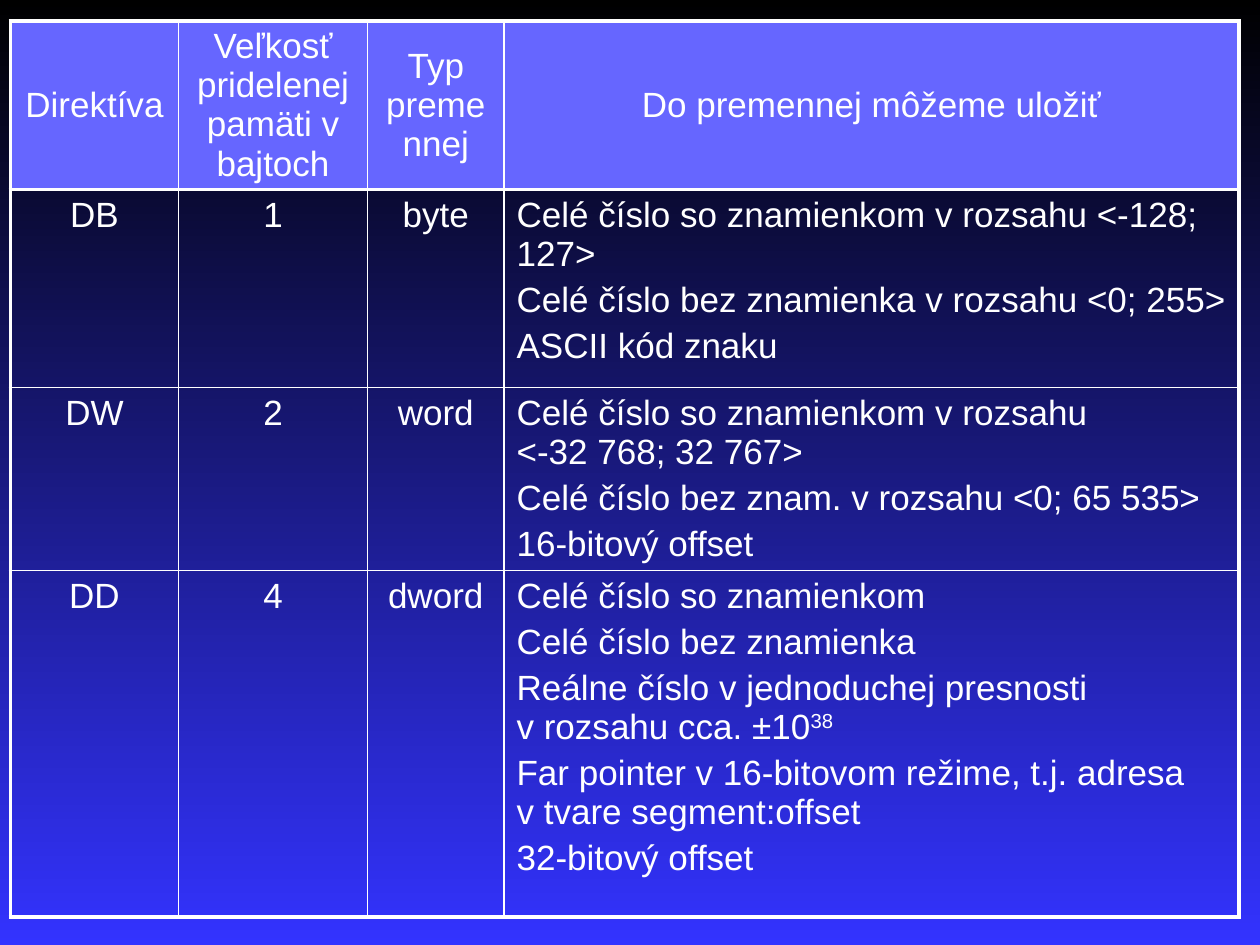
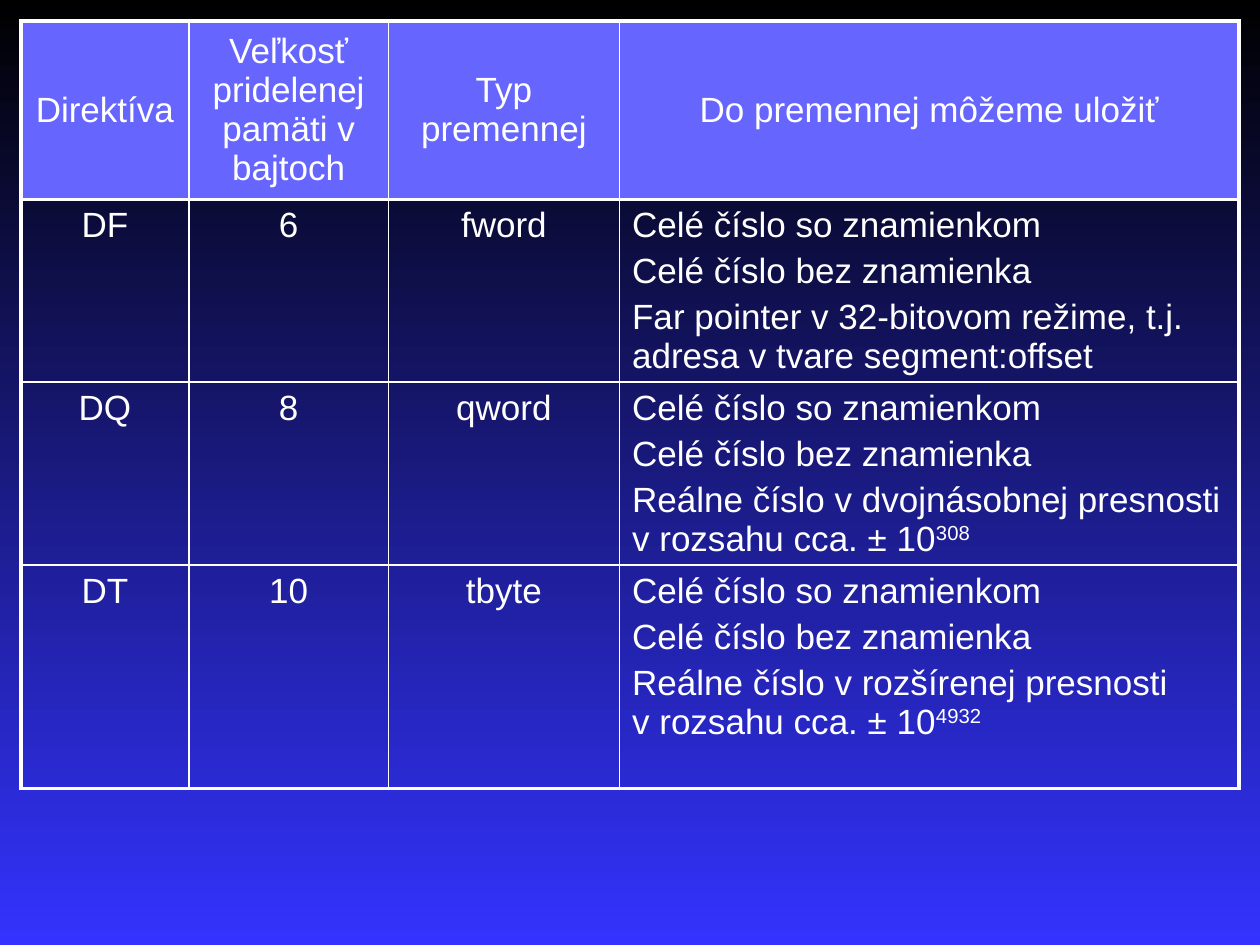
from lxml.etree import SubElement
from pptx import Presentation
from pptx.dml.color import RGBColor
from pptx.enum.text import MSO_ANCHOR, PP_ALIGN
from pptx.oxml import parse_xml
from pptx.oxml.ns import nsdecls, qn
from pptx.util import Cm, Pt

COLORS = {"top": "000000", "bottom": "3333FF", "header": "6666FF", "ink": "FFFFFF"}
FONT, SIZE = "Arial", 20
THICK, THIN = 2.25, 1
TOP = 0.42

# Content: a tuple holds lines kept together, "^" starts a superscript
HEADER = ("Direktíva", "Veľkosť pridelenej pamäti v bajtoch", "Typ premennej",
          ["Do premennej môžeme uložiť"])
SIGNED, UNSIGNED = "Celé číslo so znamienkom", "Celé číslo bez znamienka"

TABLES = [
    {"left": 0.21, "height": 18.57,
     "columns": (3.39, 3.81, 2.75, 14.82), "heights": (3.39, 3.99, 3.18, 6.99),
     "rows": [
         ("DB", "1", "byte", [SIGNED + " v rozsahu <-128; 127>",
                              UNSIGNED + " v rozsahu <0; 255>",
                              "ASCII kód znaku"]),
         ("DW", "2", "word", [(SIGNED + " v rozsahu ", "<-32 768; 32 767>"),
                              "Celé číslo bez znam. v rozsahu <0; 65 535>",
                              "16-bitový offset"]),
         ("DD", "4", "dword", [SIGNED, UNSIGNED,
                               ("Reálne číslo v jednoduchej presnosti ",
                                "v rozsahu cca. ±10^38"),
                               ("Far pointer v 16-bitovom režime, t.j. adresa ",
                                "v tvare segment:offset"),
                               "32-bitový offset"]),
     ]},
    {"left": 0.42, "height": 16.1,
     "columns": (3.39, 4.02, 4.66, 12.49), "heights": (3.6, 3.12, 3.18, 4.5),
     "rows": [
         ("DF", "6", "fword", [SIGNED, UNSIGNED,
                               "Far pointer v 32-bitovom režime, t.j. adresa "
                               "v tvare segment:offset"]),
         ("DQ", "8", "qword", [SIGNED, UNSIGNED,
                               "Reálne číslo v dvojnásobnej presnosti "
                               "v rozsahu cca. ± 10^308"]),
         ("DT", "10", "tbyte", [SIGNED, UNSIGNED,
                                ("Reálne číslo v rozšírenej presnosti ",
                                 "v rozsahu cca. ± 10^4932")]),
     ]},
]


def color(name):
    return RGBColor.from_string(COLORS[name])


def write_line(para, text, align=PP_ALIGN.LEFT, space_before=0):
    """Fill one paragraph; space_before is a percentage of the line."""
    para.alignment = align
    spacing = SubElement(para._p.get_or_add_pPr(), qn("a:spcBef"))
    SubElement(spacing, qn("a:spcPct")).set("val", str(space_before * 1000))
    base, _, power = text.partition("^")
    for part in filter(None, (base, power)):
        span = para.add_run()
        span.text = part
        span.font.name, span.font.size = FONT, Pt(SIZE)
        span.font.color.rgb = color("ink")
        if part is power:
            span.font._element.set("baseline", "30000")


def write_cell(cell, content, align):
    items = [content] if isinstance(content, str) else content
    para = cell.text_frame.paragraphs[0]
    for number, item in enumerate(items):
        lines = (item,) if isinstance(item, str) else item
        for position, line in enumerate(lines):
            if number or position:
                para = cell.text_frame.add_paragraph()
            write_line(para, line, align=align, space_before=0 if position else 20)


def draw_borders(cell, widths):
    properties = cell._tc.get_or_add_tcPr()
    for index, (side, width) in enumerate(widths.items()):
        properties.insert(index, parse_xml(
            f'<a:ln{side} {nsdecls("a")} w="{Pt(width)}"><a:solidFill>'
            f'<a:srgbClr val="{COLORS["ink"]}"/></a:solidFill></a:ln{side}>'))


def add_directive_table(page, data):
    rows = [HEADER] + data["rows"]
    last_row, last_column = len(rows) - 1, len(HEADER) - 1
    frame = page.shapes.add_table(
        len(rows), len(HEADER), Cm(data["left"]), Cm(TOP),
        Cm(sum(data["columns"])), Cm(data["height"]))
    table = frame.table
    table.first_row = table.horz_banding = False
    for column, width in zip(table.columns, data["columns"]):
        column.width = Cm(width)
    for row, height in zip(table.rows, data["heights"]):
        row.height = Cm(height)
    frame.height = Cm(data["height"])

    for r, row in enumerate(rows):
        for c, content in enumerate(row):
            cell = table.cell(r, c)
            centred = r == 0 or c < last_column
            write_cell(cell, content, PP_ALIGN.CENTER if centred else PP_ALIGN.LEFT)
            if r == 0:
                cell.vertical_anchor = MSO_ANCHOR.MIDDLE
                cell.fill.solid()
                cell.fill.fore_color.rgb = color("header")
            else:
                cell.fill.background()
            # Thick outer frame and header rule, thin lines inside
            draw_borders(cell, {"L": THICK if c == 0 else THIN,
                                "R": THICK if c == last_column else THIN,
                                "T": THICK if r <= 1 else THIN,
                                "B": THICK if r in (0, last_row) else THIN})


deck = Presentation()
deck.slide_width, deck.slide_height = Cm(25.4), Cm(19.05)

# Shared background: gradient running from top to bottom
backdrop = deck.slide_master.background.fill
backdrop.gradient()
backdrop.gradient_angle = 270
for stop, place, name in zip(backdrop.gradient_stops, (0, 1), ("top", "bottom")):
    stop.position = place
    stop.color.rgb = color(name)

for data in TABLES:
    add_directive_table(deck.slides.add_slide(deck.slide_layouts[6]), data)

deck.save("out.pptx")
